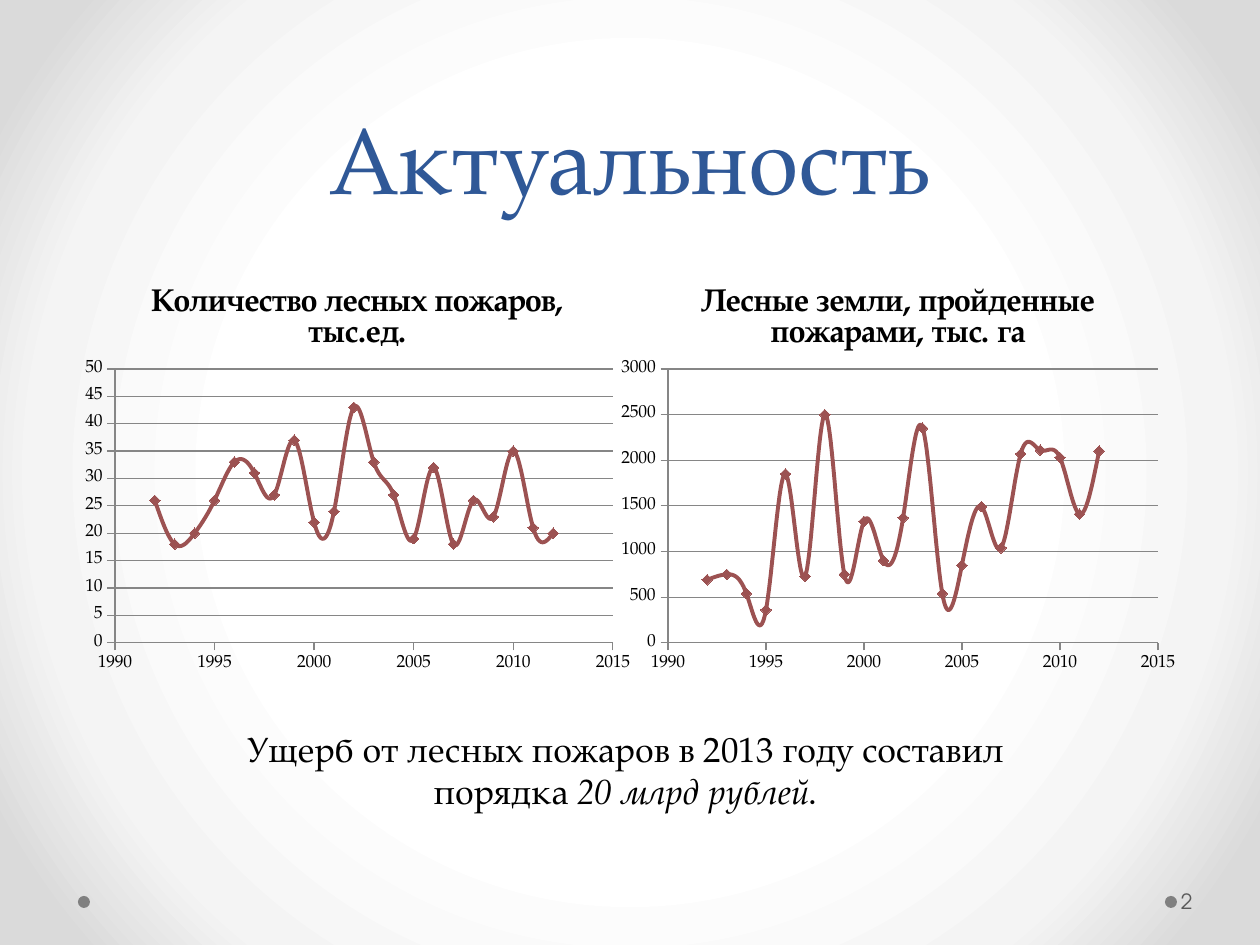
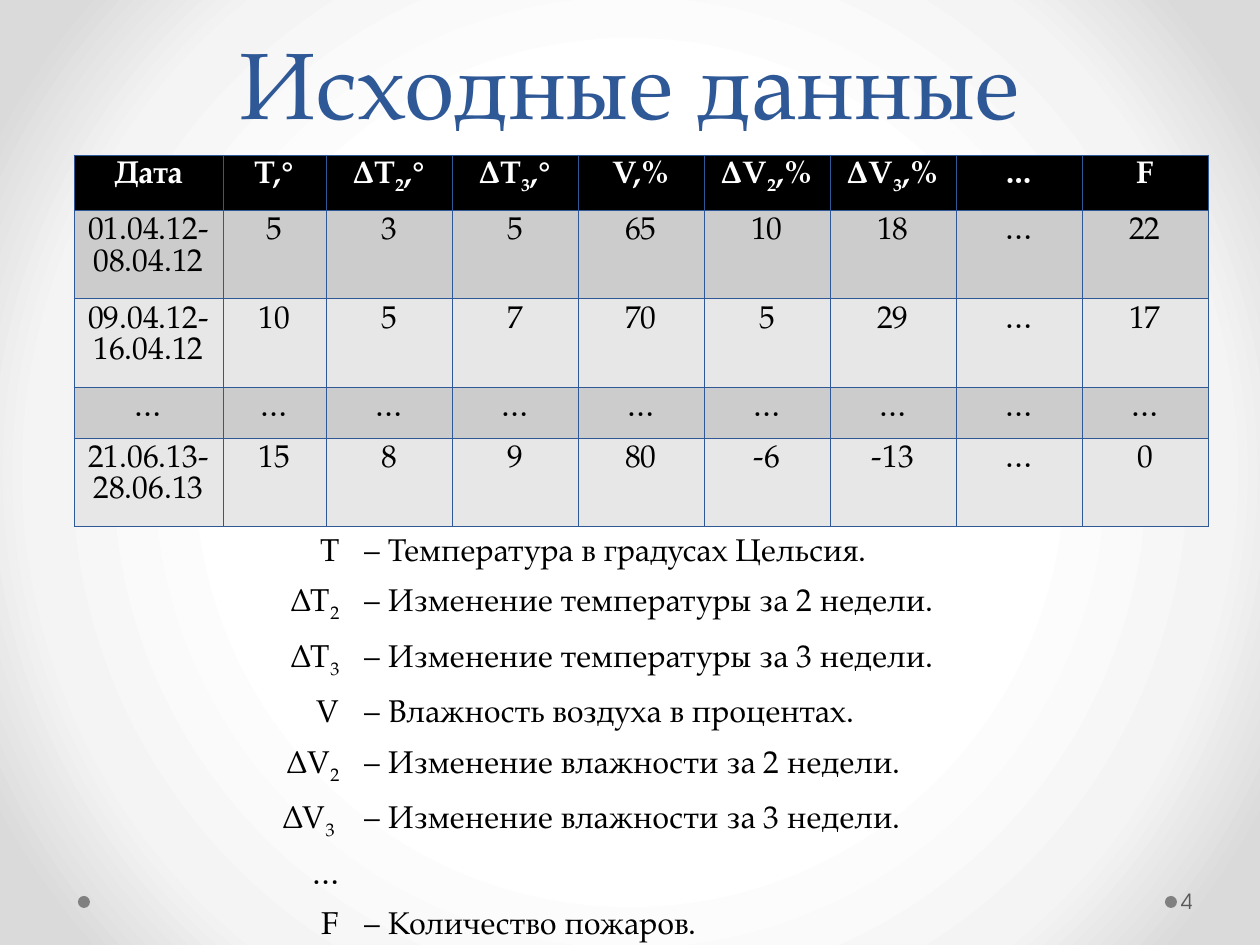
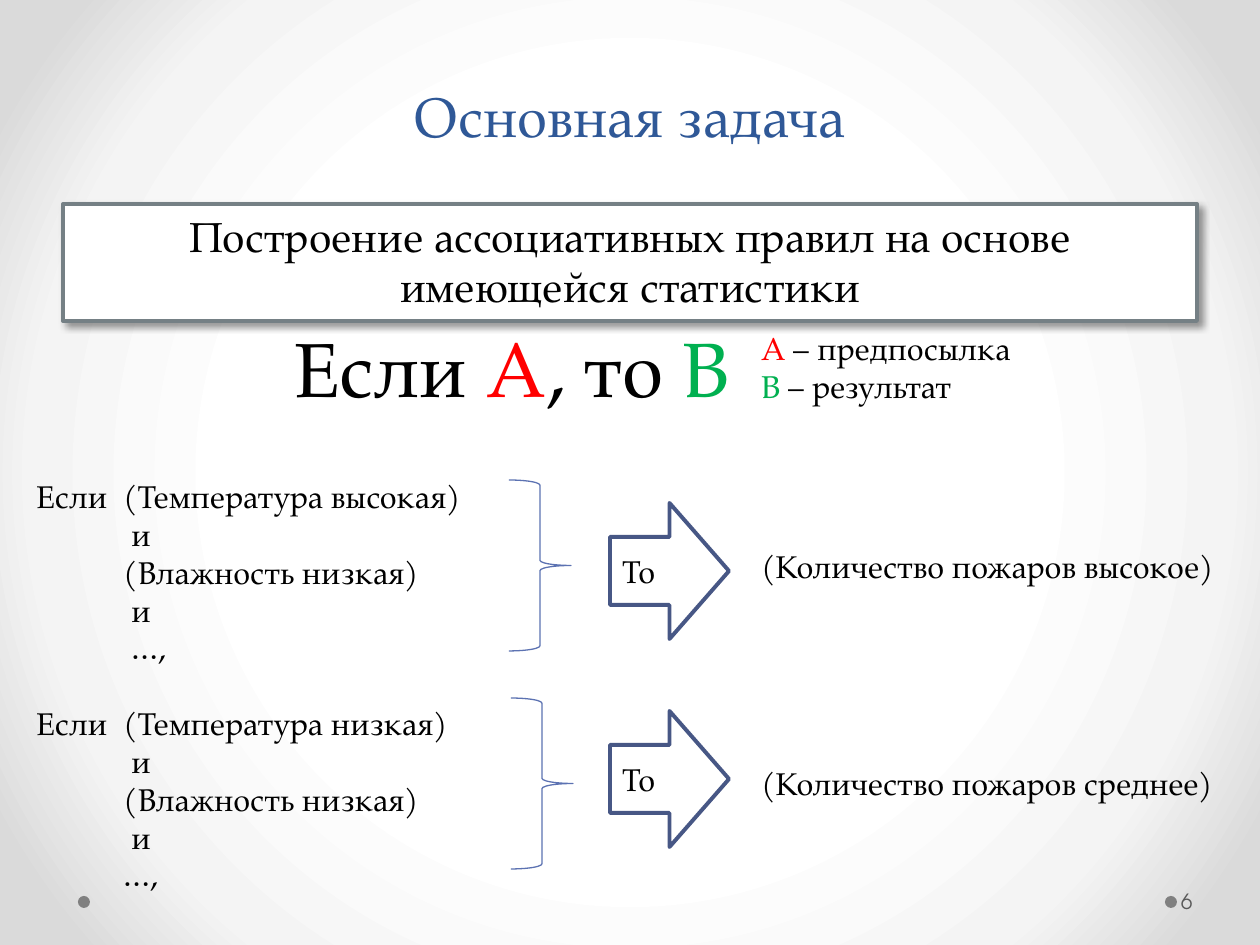
"""Builds three slides on forest fire statistics and association rules."""
import lxml.etree
import pptx
import pptx.chart.data
import pptx.dml.color
import pptx.enum.chart
import pptx.enum.shapes
import pptx.enum.text
import pptx.oxml
import pptx.oxml.ns
import pptx.util

COLORS = {
    "title": "2F5897", "text": "000000", "white": "FFFFFF", "mist": "F4F4F4",
    "edge": "DADADA", "dot": "808080", "number": "595959", "series": "9C5252",
    "axis": "868686", "header": "000000", "dark_row": "CCCCCC", "light_row": "E7E7E7",
    "frame": "758085", "brace": "5C72B2", "arrow": "475785",
    "premise": "FF0000", "result": "00B050",
}
SERIF = "TeX Gyre Pagella"
SANS = "TeX Gyre Adventor"
SLIDE_BOX = (0, 0, 1260, 945)
PLAIN_TABLE = "{2D5ABB26-0587-4C30-8999-92F81FD0307C}"
NAMESPACE = 'xmlns:a="http://schemas.openxmlformats.org/drawingml/2006/main"'
ALIGN = pptx.enum.text.PP_ALIGN
ANCHOR = pptx.enum.text.MSO_ANCHOR
SHAPE = pptx.enum.shapes.MSO_SHAPE
qn = pptx.oxml.ns.qn

YEARS = range(1992, 2013)
FIRE_COUNTS = [26, 18, 20, 26, 33, 31, 27, 37, 22, 24, 43,
               33, 27, 19, 32, 18, 26, 23, 35, 21, 20]
BURNT_AREAS = [690, 750, 540, 360, 1850, 730, 2500, 750, 1330, 900, 1370,
               2350, 540, 850, 1490, 1040, 2070, 2110, 2030, 1410, 2100]
DATA_ROWS = [
    ["Дата", "T,°", "ΔT_2_,°", "ΔT_3_,°", "V,%", "ΔV_2_,%", "ΔV_3_,%", "…", "F"],
    ["01.04.12-08.04.12", "5", "3", "5", "65", "10", "18", "…", "22"],
    ["09.04.12-\n16.04.12", "10", "5", "7", "70", "5", "29", "…", "17"],
    ["…"] * 9,
    ["21.06.13-\n28.06.13", "15", "8", "9", "80", "-6", "-13", "…", "0"],
]
NOTATION = [
    ["T", "– Температура в градусах Цельсия."],
    ["ΔT_2", "– Изменение температуры за 2 недели."],
    ["ΔT_3", "– Изменение температуры за 3 недели."],
    ["V", "– Влажность воздуха в процентах."],
    ["ΔV_2", "– Изменение влажности за 2 недели."],
    ["ΔV_3 ", "– Изменение влажности за 3 недели."],
    ["…", ""],
    ["F", "– Количество пожаров."],
]


def px(length):
    """Turn a length in px into EMU."""
    return pptx.util.Emu(round(length * 914400 / 126))


def place(box):
    """Turn a box in px into EMU."""
    return [px(length) for length in box]


def rgb(name):
    """Return the named colour."""
    return pptx.dml.color.RGBColor.from_string(COLORS[name])


def style_font(font, size, color="text", name=SERIF, bold=False):
    """Set the face, size, weight and colour of a font."""
    font.name, font.size, font.bold = name, pptx.util.Pt(size), bold
    font.color.rgb = rgb(color)


def write_pieces(paragraph, pieces, size):
    """Add one run for each (text, colour) pair."""
    for text, color in pieces:
        run = paragraph.add_run()
        run.text = text
        style_font(run.font, size, color)


def write_indexed(paragraph, text, color, bold=False, size=18):
    """Write text whose odd parts between underscores are subscripts."""
    for index, part in enumerate(text.split("_")):
        run = paragraph.add_run()
        run.text = part
        style_font(run.font, size, color, bold=bold)
        if index % 2:
            run.font._element.set("baseline", "-25000")


def add_text(slide, box, lines, size, align=ALIGN.LEFT, wrap=False):
    """Add a text box with one list of pieces for each paragraph."""
    frame = slide.shapes.add_textbox(*place(box)).text_frame
    frame.word_wrap = wrap
    frame.auto_size = pptx.enum.text.MSO_AUTO_SIZE.SHAPE_TO_FIT_TEXT
    for index, pieces in enumerate(lines):
        paragraph = frame.add_paragraph() if index else frame.paragraphs[0]
        paragraph.alignment = align
        write_pieces(paragraph, pieces, size)
    return frame


def add_shape(slide, kind, box, fill=None, line=None, width=0):
    """Add a preset shape without a shadow."""
    shape = slide.shapes.add_shape(kind, *place(box))
    shape.shadow.inherit = False
    if fill:
        shape.fill.solid()
        shape.fill.fore_color.rgb = rgb(fill)
    else:
        shape.fill.background()
    if line:
        shape.line.color.rgb = rgb(line)
        shape.line.width = pptx.util.Pt(width)
    else:
        shape.line.fill.background()
    return shape


def set_background(master):
    """Give the master a radial gradient."""
    master.background.fill.gradient()
    gradient = next(master.element.iter(qn("a:gradFill")))
    stops = "".join(
        f'<a:gs pos="{position}000"><a:srgbClr val="{COLORS[name]}"/></a:gs>'
        for position, name in [(50, "white"), (76, "mist"), (92, "edge")])
    gradient.getparent().replace(gradient, pptx.oxml.parse_xml(
        f'<a:gradFill {NAMESPACE} rotWithShape="1"><a:gsLst>{stops}</a:gsLst>'
        '<a:path path="circle"><a:fillToRect l="50000" t="50000" r="50000" b="50000"/>'
        '</a:path></a:gradFill>'))


def add_base(presentation, title, title_box, number, title_size=54):
    """Add a slide with its title, footer dots and number."""
    slide = presentation.slides.add_slide(presentation.slide_layouts[6])
    for left in (1165, 78):
        add_shape(slide, SHAPE.OVAL, (left, 896, 12, 12), "dot")
    frame = slide.shapes.add_textbox(*place(title_box)).text_frame
    frame.word_wrap = True
    frame.vertical_anchor = ANCHOR.BOTTOM
    paragraph = frame.paragraphs[0]
    paragraph.text = title
    paragraph.alignment = ALIGN.CENTER
    paragraph.line_spacing = pptx.util.Pt(58)
    style_font(paragraph.runs[0].font, title_size, "title")
    frame = slide.shapes.add_textbox(*place((1177, 876, 77, 50))).text_frame
    frame.margin_left = px(4)
    frame.margin_right = px(6)
    frame.vertical_anchor = ANCHOR.MIDDLE
    frame.word_wrap = True
    frame.text = str(number)
    style_font(frame.paragraphs[0].runs[0].font, 12, "number", SANS)
    return slide


def style_axis(axis, low, high, step, gridlines):
    """Set the range, ticks and lines of a value axis."""
    axis.minimum_scale, axis.maximum_scale, axis.major_unit = low, high, step
    axis.major_tick_mark = pptx.enum.chart.XL_TICK_MARK.OUTSIDE
    axis.has_major_gridlines = gridlines
    axis.tick_labels.number_format = "General"
    axis.tick_labels.number_format_is_linked = False
    lines = [axis.format.line]
    if gridlines:
        lines.append(axis.major_gridlines.format.line)
    for line in lines:
        line.color.rgb = rgb("axis")
        line.width = pptx.util.Pt(0.75)


def add_year_chart(slide, box, plot_box, title, values, high, step):
    """Add a smooth scatter chart by year, with its plot placed inside the box."""
    data = pptx.chart.data.XyChartData()
    points = data.add_series("Series 1")
    for year, value in zip(YEARS, values):
        points.add_data_point(year, value)
    chart = slide.shapes.add_chart(
        pptx.enum.chart.XL_CHART_TYPE.XY_SCATTER_SMOOTH, *place(box), data).chart
    style_font(chart.font, 10)
    chart.has_legend = False
    chart.has_title = True
    chart.chart_title.include_in_layout = False
    chart.chart_title.text_frame.text = title
    style_font(chart.chart_title.text_frame.paragraphs[0].runs[0].font, 18, bold=True)
    style_axis(chart.category_axis, 1990, 2015, 5, False)
    style_axis(chart.value_axis, 0, high, step, True)
    plot = chart.plots[0]
    plot.vary_by_categories = False
    series = plot.series[0]
    series.format.line.color.rgb = rgb("series")
    series.format.line.width = pptx.util.Pt(2.25)
    series.marker.style = pptx.enum.chart.XL_MARKER_STYLE.DIAMOND
    series.marker.size = 6
    series.marker.format.fill.solid()
    series.marker.format.fill.fore_color.rgb = rgb("series")
    series.marker.format.line.color.rgb = rgb("series")
    for smooth in chart.element.iter(qn("c:smooth")):
        smooth.set("val", "1")
    area = next(chart.element.iter(qn("c:plotArea")))
    for layout in area.findall(qn("c:layout")):
        area.remove(layout)
    layout = lxml.etree.Element(qn("c:layout"))
    area.insert(0, layout)
    manual = lxml.etree.SubElement(layout, qn("c:manualLayout"))
    left, top, width, height = plot_box
    settings = [("layoutTarget", "inner"), ("xMode", "edge"), ("yMode", "edge"),
                ("x", left / box[2]), ("y", top / box[3]),
                ("w", width / box[2]), ("h", height / box[3])]
    for tag, value in settings:
        lxml.etree.SubElement(manual, qn("c:" + tag)).set("val", str(value))


def add_plain_table(slide, left, top, widths, heights):
    """Add a table without a style, with the given columns and rows."""
    frame = slide.shapes.add_table(len(heights), len(widths), *place(
        (left, top, sum(widths), sum(heights))))
    next(frame.element.iter(qn("a:tableStyleId"))).text = PLAIN_TABLE
    table = frame.table
    table.first_row = table.horz_banding = False
    for column, width in zip(table.columns, widths):
        column.width = px(width)
    for row, height in zip(table.rows, heights):
        row.height = px(height)
    return table


def fill_cell(cell, text, align, color="text", bold=False):
    """Write each line of text as a paragraph of the cell."""
    for index, line in enumerate(text.split("\n")):
        frame = cell.text_frame
        paragraph = frame.add_paragraph() if index else frame.paragraphs[0]
        paragraph.alignment = align
        if line:
            write_indexed(paragraph, line, color, bold)


def add_borders(cell):
    """Draw a thin line on the four sides of a cell."""
    properties = cell._tc.get_or_add_tcPr()
    for index, side in enumerate(("lnL", "lnR", "lnT", "lnB")):
        properties.insert(index, pptx.oxml.parse_xml(
            f'<a:{side} {NAMESPACE} w="6350"><a:solidFill>'
            f'<a:srgbClr val="{COLORS["title"]}"/></a:solidFill></a:{side}>'))


def add_data_table(slide, left, top):
    """Add the table of weekly measurements."""
    table = add_plain_table(slide, left, top, [149, 103] + [126] * 7,
                            [51, 76, 76, 51, 76])
    for row, texts in enumerate(DATA_ROWS):
        header = row == 0
        fill = "header" if header else ("dark_row" if row % 2 else "light_row")
        for column, text in enumerate(texts):
            cell = table.cell(row, column)
            fill_cell(cell, text, ALIGN.CENTER, "white" if header else "text", header)
            cell.fill.solid()
            cell.fill.fore_color.rgb = rgb(fill)
            add_borders(cell)


def add_notation(slide, left, top):
    """Add the list of symbols and their meanings."""
    table = add_plain_table(slide, left, top, [91, 655], [50] + [48] * 6 + [76])
    for row, texts in enumerate(NOTATION):
        for column, align in enumerate((ALIGN.RIGHT, ALIGN.LEFT)):
            fill_cell(table.cell(row, column), texts[column], align)


def add_task_panel(slide, box):
    """Add the framed statement of the task."""
    panel = add_shape(slide, SHAPE.RECTANGLE, box, "white", "frame", 2.25)
    effects = next(panel.element.iter(qn("a:effectLst")))
    effects.append(pptx.oxml.parse_xml(
        f'<a:outerShdw {NAMESPACE} blurRad="50800" dist="38100" dir="2700000" '
        f'algn="tl" rotWithShape="0"><a:srgbClr val="{COLORS["text"]}">'
        '<a:alpha val="40000"/></a:srgbClr></a:outerShdw>'))
    frame = panel.text_frame
    frame.word_wrap = True
    frame.vertical_anchor = ANCHOR.TOP
    frame.margin_bottom = 0
    frame.text = "Построение ассоциативных правил на основе имеющейся статистики"
    paragraph = frame.paragraphs[0]
    paragraph.alignment = ALIGN.CENTER
    paragraph.space_before = pptx.util.Pt(4.8)
    style_font(paragraph.runs[0].font, 24)


def add_conditions(slide, box, temperature, last_indent):
    """Add the premise of a rule, its lines indented past the first word."""
    lines = [(f"Если\t(Температура {temperature})", 87), ("и", 95),
             ("(Влажность низкая)", 87), ("и", 95), ("…,", last_indent)]
    frame = add_text(slide, box, [[(text, "text")] for text, _ in lines], 18, wrap=True)
    for paragraph, (text, indent) in zip(frame.paragraphs, lines):
        properties = paragraph._p.get_or_add_pPr()
        properties.set("marL", str(px(indent)))
        properties.set("indent", str(-px(indent) if "\t" in text else 0))
        if "\t" in text:
            stops = lxml.etree.SubElement(properties, qn("a:tabLst"))
            stop = lxml.etree.SubElement(stops, qn("a:tab"))
            stop.set("pos", str(px(indent)))
            stop.set("algn", "l")


def add_rule(slide, tops, temperature, last_indent, outcome, outcome_width):
    """Add one rule: premise, brace, arrow and outcome at the given tops."""
    text_top, brace_left, brace_top, arrow_top, outcome_top = tops
    add_conditions(slide, (24, text_top, 486, 201), temperature, last_indent)
    add_shape(slide, SHAPE.RIGHT_BRACE, (brace_left, brace_top, 62, 171),
              line="brace", width=0.75)
    add_shape(slide, SHAPE.RIGHT_ARROW, (610, arrow_top, 119, 136),
              line="arrow", width=2.25)
    add_text(slide, (610, arrow_top + 43, 63, 50), [[("То", "text")]], 18)
    add_text(slide, (749, outcome_top, outcome_width, 50),
             [[(f"(Количество пожаров {outcome})", "text")]], 18)


def build_relevance(presentation):
    """Build the slide with two charts and the damage statement."""
    slide = add_base(presentation, "Актуальность", (63, 0, 1134, 220), 2)
    add_year_chart(slide, (74, 265, 567, 417), (41, 104, 498, 274),
                   "Количество лесных пожаров, тыс.ед.", FIRE_COUNTS, 50, 5)
    add_year_chart(slide, (610, 265, 576, 417), (58, 104, 490, 274),
                   "Лесные земли, пройденные пожарами, тыс. га", BURNT_AREAS, 3000, 500)
    pieces = [("Ущерб от лесных пожаров в 2013 году составил порядка ", "text"),
              ("20 млрд рублей", "text"), (".", "text")]
    frame = add_text(slide, (184, 721, 883, 97), [pieces], 20, ALIGN.CENTER, True)
    frame.paragraphs[0].runs[1].font.italic = True


def build_data(presentation):
    """Build the slide with the source data and the notation."""
    slide = add_base(presentation, "Исходные данные", (63, 0, 1134, 145), 4)
    add_data_table(slide, 74, 155)
    add_notation(slide, 261, 532)


def build_task(presentation):
    """Build the slide with the task and two example rules."""
    slide = add_base(presentation, "Основная задача", (63, 38, 1134, 117), 6, 32)
    add_task_panel(slide, (63, 204, 1134, 117))
    add_text(slide, (282, 314, 465, 106),
             [[("Если ", "text"), ("A", "premise"), (", то ", "text"), ("B", "result")]], 44)
    add_text(slide, (749, 323, 280, 89),
             [[("A", "premise"), (" – предпосылка", "text")],
              [("B", "result"), (" – результат", "text")]], 18)
    add_rule(slide, (471, 509, 480, 503, 541), "высокая", 95, "высокое", 504)
    add_rule(slide, (698, 511, 698, 711, 758), "низкая", 87, "среднее", 491)


def main():
    """Build and save the presentation."""
    presentation = pptx.Presentation()
    presentation.slide_width, presentation.slide_height = place(SLIDE_BOX[2:])
    set_background(presentation.slide_master)
    build_relevance(presentation)
    build_data(presentation)
    build_task(presentation)
    presentation.save("out.pptx")


if __name__ == "__main__":
    main()
